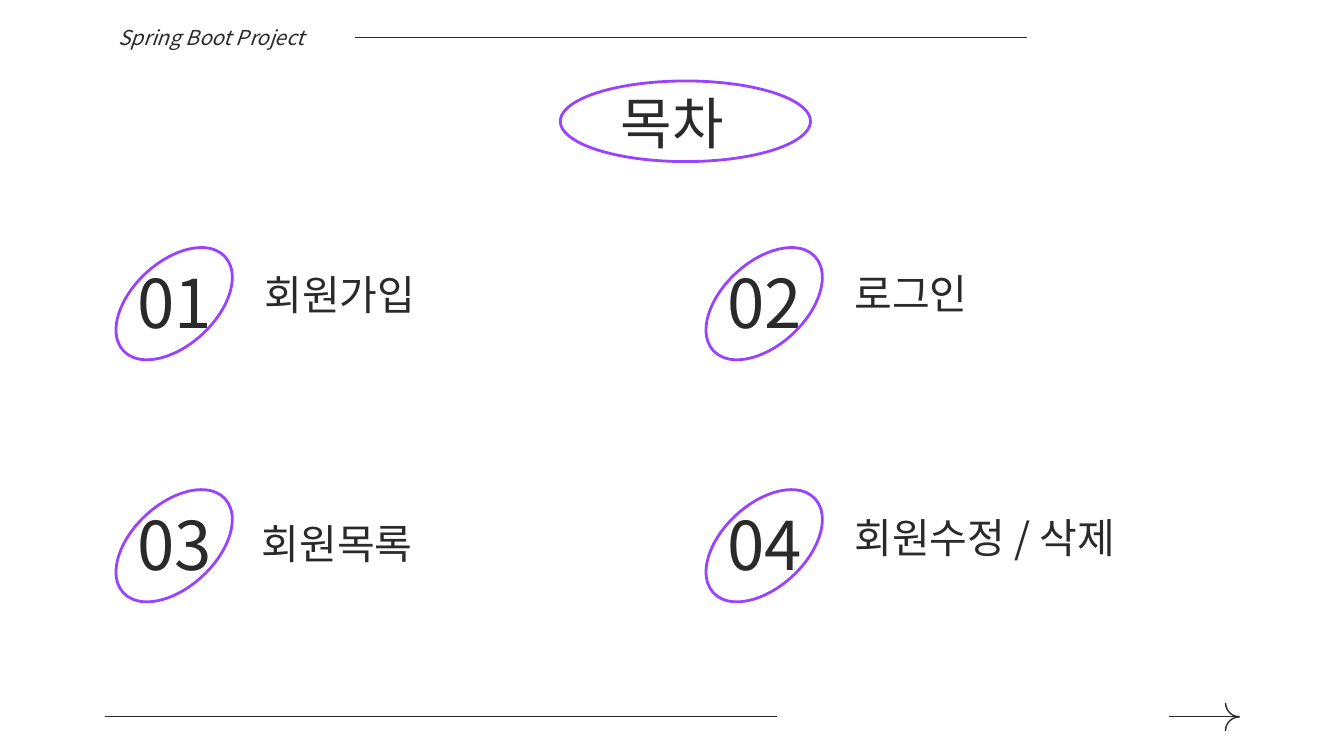
from lxml import etree
from pptx import Presentation
from pptx.dml.color import RGBColor
from pptx.enum.shapes import MSO_CONNECTOR as Connector, MSO_SHAPE as Shape
from pptx.enum.text import MSO_ANCHOR as Anchor, PP_ALIGN as Align
from pptx.oxml.ns import qn
from pptx.util import Pt

COLORS = {"ink": "2A2A2A", "accent": "9942FF", "paper": "FFFFFF"}
FONT = "Noto Sans CJK KR"

# Contents grid: left edge, top edge and distance between entries
GRID_LEFT, GRID_TOP = 56.2, 134.6
COLUMN_STEP, ROW_STEP = 316.1, 129.7

# Each entry: name, then the left and top of its label
ENTRIES = [
    ("회원가입", 134.6, 137.5),
    ("로그인", 450.7, 136.8),
    ("회원목록", 133.2, 270.7),
    ("회원수정 / 삭제", 450.7, 267.8),
]


def color(name):
    return RGBColor.from_string(COLORS[name])


def add_text(slide, text, left, top, width, height, size=22,
             align=Align.LEFT, italic=False):
    box = slide.shapes.add_textbox(Pt(left), Pt(top), Pt(width), Pt(height))
    frame = box.text_frame
    frame.word_wrap = True
    frame.vertical_anchor = Anchor.MIDDLE
    frame.margin_left = frame.margin_right = Pt(7.2)
    frame.margin_top = frame.margin_bottom = Pt(7.2)
    paragraph = frame.paragraphs[0]
    paragraph.alignment = align
    run = paragraph.add_run()
    run.text = text
    font = run.font
    font.name, font.size, font.italic = FONT, Pt(size), italic
    font.color.rgb = color("ink")
    # Hangul takes the East Asian typeface
    east_asian = etree.SubElement(font._element, qn("a:ea"))
    east_asian.set("typeface", FONT)


def add_rule(slide, start, end, y):
    rule = slide.shapes.add_connector(
        Connector.STRAIGHT, Pt(start), Pt(y), Pt(end), Pt(y))
    rule.line.color.rgb = color("ink")
    rule.line.width = Pt(0.75)
    etree.SubElement(rule._element.spPr, qn("a:effectLst"))


def add_outline(slide, kind, left, top, width, height, line="accent",
                weight=1.5, rotation=0):
    outline = slide.shapes.add_shape(
        kind, Pt(left), Pt(top), Pt(width), Pt(height))
    outline.shadow.inherit = False
    outline.fill.background()
    outline.line.color.rgb = color(line)
    outline.line.width = Pt(weight)
    outline.rotation = rotation


def add_arrow(slide, start, tip, y, barb=15):
    add_rule(slide, start, tip, y)
    # Two quarter circles meet at the tip
    for top, rotation in ((y, 270), (y - barb, 180)):
        add_outline(slide, Shape.ARC, tip - barb / 2, top, barb, barb,
                    line="ink", weight=0.75, rotation=rotation)


def add_entry(slide, index, name, label_left, label_top):
    row, column = divmod(index, 2)
    left = GRID_LEFT + column * COLUMN_STEP
    top = GRID_TOP + row * ROW_STEP
    add_text(slide, name, label_left, label_top, 211, 40.3)
    add_text(slide, f"{index + 1:02d}", left + 2.1, top, 70.6, 54,
             size=36, align=Align.CENTER)
    add_outline(slide, Shape.OVAL, left, top + 5.8, 74.2, 44.6,
                rotation=317.2)


def main():
    deck = Presentation()
    deck.slide_width, deck.slide_height = Pt(720), Pt(405)
    slide = deck.slides.add_slide(deck.slide_layouts[6])
    slide.background.fill.solid()
    slide.background.fill.fore_color.rgb = color("paper")

    # Footer
    add_rule(slide, 56.2, 416.2, 384)
    add_arrow(slide, 626.4, 664, 384)

    # Header
    add_text(slide, "Spring Boot Project", 56.2, 8, 134, 23.8,
             size=11, italic=True)
    add_rule(slide, 190.1, 550.1, 20)

    # Title
    add_outline(slide, Shape.OVAL, 300.2, 43.4, 134, 43.2)
    add_text(slide, "목차", 56.2, 42.5, 607.7, 45.4,
             size=30, align=Align.CENTER)

    # Contents
    for index, entry in enumerate(ENTRIES):
        add_entry(slide, index, *entry)

    deck.save("out.pptx")


if __name__ == "__main__":
    main()
